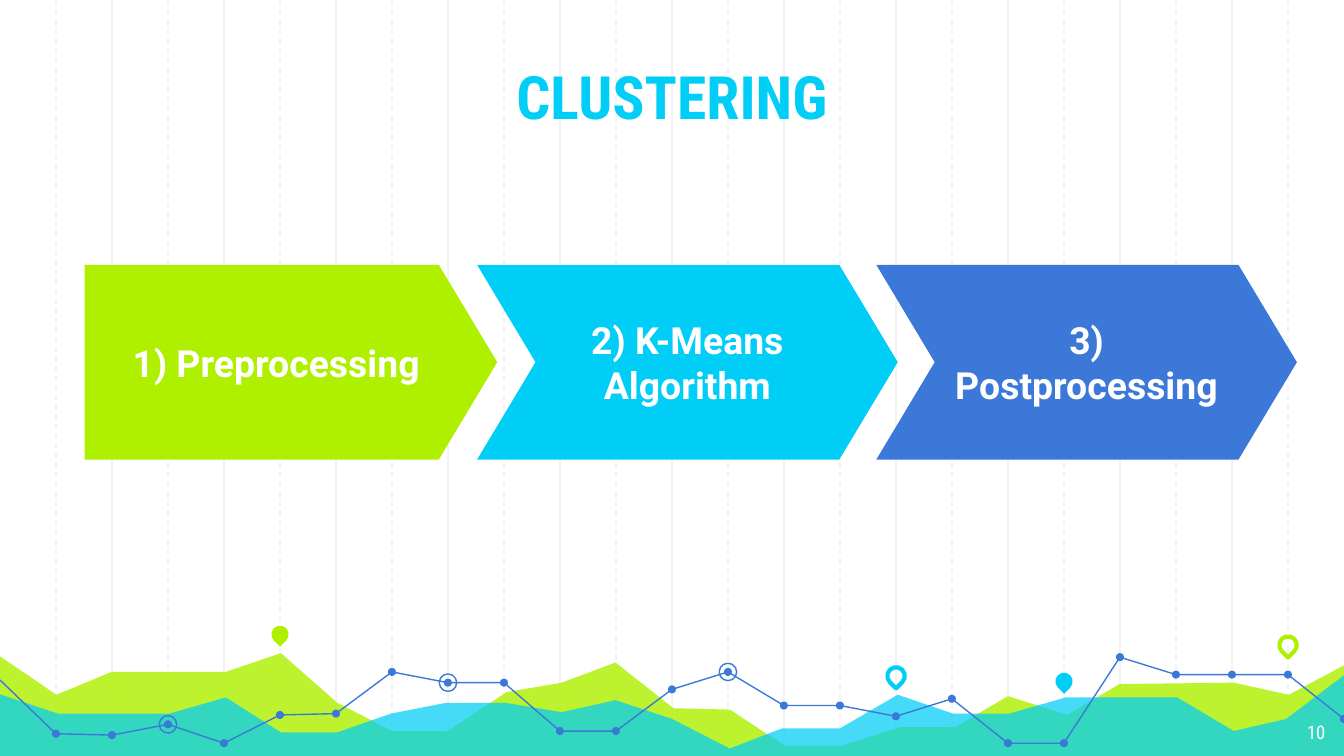
import pptx
import pptx.util
import pptx.dml.color
import pptx.enum.dml
import pptx.enum.shapes
import pptx.enum.text
import lxml.etree

Inches = pptx.util.Inches
Pt = pptx.util.Pt
SHAPE = pptx.enum.shapes.MSO_SHAPE
ALIGN = pptx.enum.text.PP_ALIGN
ANCHOR = pptx.enum.text.MSO_ANCHOR
COLORS = {"lime": "AFF000", "cyan": "00CEF6", "blue": "3C78D8",
          "grid": "F3F3F3", "white": "FFFFFF"}
WIDTH, HEIGHT = 10, 10 * 9 / 16
STEP = WIDTH / 24

LIME_WAVE = [
    (-0.02, 4.87), (0.42, 5.17), (0.83, 5), (1.68, 5), (2.09, 4.86),
    (2.51, 5.23), (2.92, 5.44), (3.33, 5.44), (3.77, 5.15), (4.18, 5.08),
    (4.58, 4.93), (5.01, 5.27), (5.43, 5.28), (5.84, 5.55), (6.26, 5.55),
    (6.7, 5.41), (7.11, 5.41), (7.5, 5.18), (7.94, 5.32), (8.33, 5.09),
    (9.18, 5.08), (9.59, 5.17), (10.02, 4.94), (10.02, 5.64), (-0.03, 5.64)]
CYAN_WAVE = [
    (-0.02, 5.16), (0.43, 5.31), (1.26, 5.31), (1.68, 5.19), (2.09, 5.45),
    (2.51, 5.45), (2.91, 5.31), (3.32, 5.23), (3.76, 5.23), (4.18, 5.3),
    (4.58, 5.21), (5, 5.35), (5.43, 5.57), (5.82, 5.42), (6.25, 5.42),
    (6.68, 5.17), (7.09, 5.31), (7.51, 5.31), (7.93, 5.19), (8.76, 5.19),
    (9.18, 5.44), (9.57, 5.35), (10.02, 5.01), (10.02, 5.65), (-0.03, 5.65)]
# Heights of the blue line, one for each grid step
TREND = [5.06, 5.46, 5.47, 5.39, 5.53, 5.32, 5.31, 5, 5.08, 5.08, 5.44, 5.44,
         5.13, 5, 5.25, 5.25, 5.33, 5.2, 5.53, 5.53, 4.89, 5.02, 5.02, 5.02,
         5.35]
RINGS = (3, 8, 13)
PINS = [(5, 4.72, "lime", True), (16, 5.03, "cyan", False),
        (19, 5.07, "cyan", True), (23, 4.8, "lime", False)]


def color(name):
    return pptx.dml.color.RGBColor.from_string(COLORS[name])


def paint(shape, fill=None, line=None, weight=0.75):
    shape.shadow.inherit = False
    if fill:
        shape.fill.solid()
        shape.fill.fore_color.rgb = color(fill)
    else:
        shape.fill.background()
    if line:
        shape.line.color.rgb = color(line)
        shape.line.width = Pt(weight)
    else:
        shape.line.fill.background()


def add_sub(parent, tag, **attrs):
    name = pptx.oxml.ns.qn(tag)
    return lxml.etree.SubElement(parent, name, **attrs)


def write(shape, text, size, font, tone, bold=False,
          align=ALIGN.CENTER, anchor=ANCHOR.MIDDLE):
    frame = shape.text_frame
    frame.text = text
    frame.word_wrap = True
    frame.vertical_anchor = anchor
    frame.margin_left = frame.margin_right = Inches(0.1)
    frame.margin_top = frame.margin_bottom = Inches(0.1)
    para = frame.paragraphs[0]
    para.alignment = align
    run = para.runs[0].font
    run.size, run.name, run.bold = Pt(size), font, bold
    run.color.rgb = color(tone)


def add_text(slide, box, text, size, tone, **style):
    shape = slide.shapes.add_textbox(*map(Inches, box))
    write(shape, text, size, "Roboto Condensed", tone, **style)


def add_grid(slide, left, top, height):
    """Draw solid lines on even steps and dashed lines on odd ones."""
    for i in range(1, 24):
        x = Inches(left + i * STEP)
        line = slide.shapes.add_connector(
            pptx.enum.shapes.MSO_CONNECTOR.STRAIGHT,
            x, Inches(top), x, Inches(top + height))
        line.line.color.rgb = color("grid")
        line.line.width = Pt(0.75)
        if i % 2:
            line.line.dash_style = pptx.enum.dml.MSO_LINE.DASH
        add_sub(line._element.spPr, "a:effectLst")


def add_path(slide, points, left, top, close):
    spots = [(Inches(left + x), Inches(top + y)) for x, y in points]
    build = slide.shapes.build_freeform(*spots[0])
    build.add_line_segments(spots[1:], close=close)
    return build.convert_to_shape()


def add_wave(slide, points, left, top, tone, alpha):
    wave = add_path(slide, points, left, top, True)
    paint(wave, fill=tone)
    fill = wave._element.spPr.find(pptx.oxml.ns.qn("a:solidFill"))
    add_sub(fill[0], "a:alpha", val=str(alpha * 1000))


def add_mark(slide, kind, x, y, size):
    """Add a round mark centred on a point."""
    return slide.shapes.add_shape(
        kind, Inches(x - size / 2), Inches(y - size / 2),
        Inches(size), Inches(size))


def add_scene(slide, left, top):
    """Draw the waves, the trend line and the pins."""
    add_wave(slide, LIME_WAVE, left, top, "lime", 82)
    add_wave(slide, CYAN_WAVE, left, top, "cyan", 73)
    trend = [(i * STEP, y) for i, y in enumerate(TREND)]
    paint(add_path(slide, trend, left, top, False), line="blue")
    for i, (x, y) in enumerate(trend):
        if i:
            dot = add_mark(slide, SHAPE.OVAL, left + x, top + y, 0.06)
            paint(dot, fill="blue")
        if i in RINGS:
            ring = add_mark(slide, SHAPE.OVAL, left + x, top + y, 0.13)
            paint(ring, line="blue")
    for i, y, tone, solid in PINS:
        pin = add_mark(slide, SHAPE.TEAR, left + i * STEP, top + y, 0.13)
        pin.rotation = 135
        if solid:
            paint(pin, fill=tone)
        else:
            paint(pin, line=tone, weight=2.25)


def add_steps(slide, left, top, height):
    steps = [(SHAPE.PENTAGON, 0, 3.07, "lime", "1) Preprocessing"),
             (SHAPE.CHEVRON, 2.92, 3.13, "cyan", "2) K-Means Algorithm"),
             (SHAPE.CHEVRON, 5.89, 3.13, "blue", "3) Postprocessing")]
    for kind, x, width, tone, text in steps:
        step = slide.shapes.add_shape(
            kind, Inches(left + x), Inches(top), Inches(width), Inches(height))
        step.adjustments[0] = 0.3
        paint(step, fill=tone)
        write(step, text, 20, "Roboto", "white", bold=True)


def main():
    deck = pptx.Presentation()
    deck.slide_width, deck.slide_height = Inches(WIDTH), Inches(HEIGHT)
    slide = deck.slides.add_slide(deck.slide_layouts[6])
    add_grid(slide, 0, 0, 5.65)
    add_scene(slide, 0, 0)
    add_steps(slide, 0.63, 1.97, 1.45)
    add_text(slide, (9.36, 5.28, 0.6, 0.35), "10", 10, "white",
             align=ALIGN.RIGHT, anchor=ANCHOR.TOP)
    add_text(slide, (0, 0.3, WIDTH, 0.78), "CLUSTERING", 32, "cyan",
             bold=True, anchor=ANCHOR.BOTTOM)
    deck.save("out.pptx")


if __name__ == "__main__":
    main()
